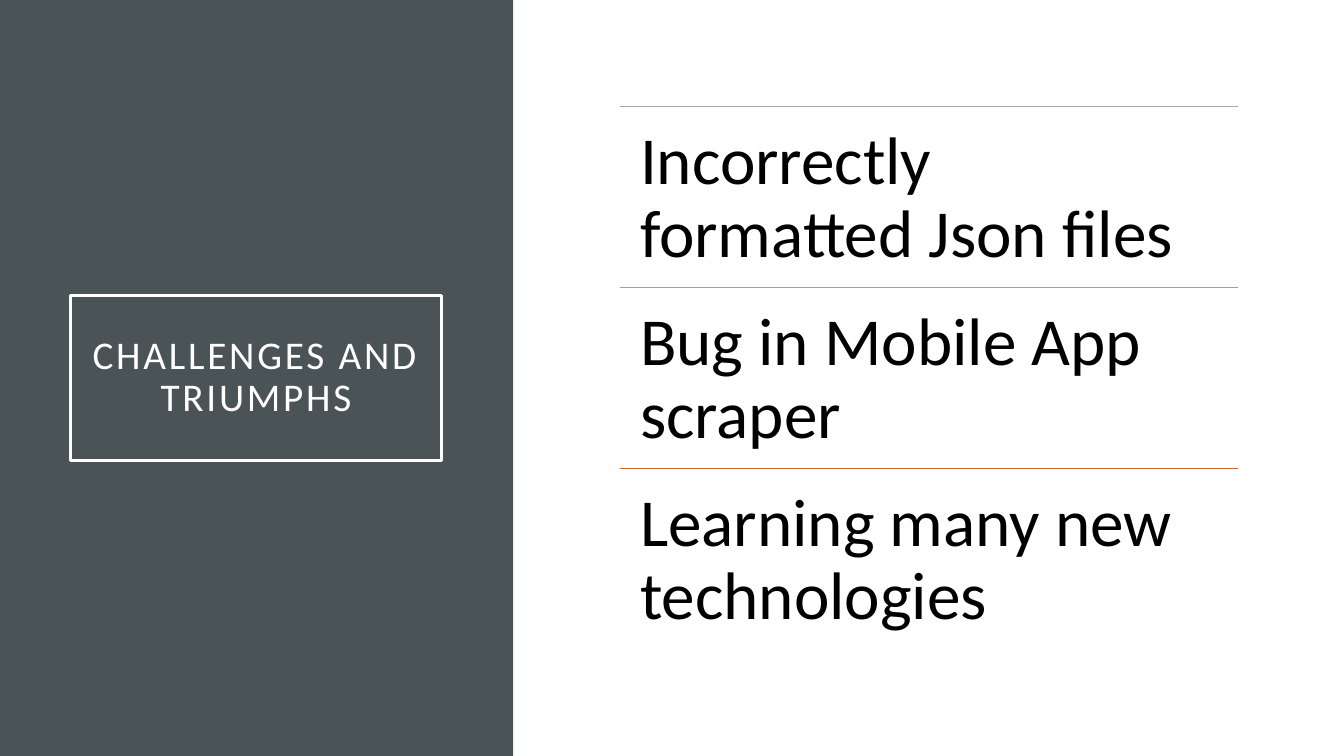
from dataclasses import dataclass

from lxml import etree
from pptx import Presentation
from pptx.dml.color import RGBColor
from pptx.enum.shapes import MSO_CONNECTOR, MSO_SHAPE
from pptx.enum.text import MSO_ANCHOR, PP_ALIGN
from pptx.oxml.ns import qn
from pptx.shapes.base import BaseShape
from pptx.slide import Slide
from pptx.util import Pt

RECTANGLE = MSO_SHAPE.RECTANGLE
STRAIGHT = MSO_CONNECTOR.STRAIGHT
TOP, MIDDLE = MSO_ANCHOR.TOP, MSO_ANCHOR.MIDDLE
LEFT, CENTER = PP_ALIGN.LEFT, PP_ALIGN.CENTER


@dataclass(frozen=True)
class Theme:
    font: str = "Calibri"
    title_size: float = 28
    item_size: float = 48
    line_spacing: float = 0.9
    inset: float = 14.4
    panel: str = "4A5356"
    light: str = "FFFFFF"
    dark: str = "000000"


@dataclass(frozen=True)
class Area:
    left: float
    top: float
    width: float
    height: float


@dataclass(frozen=True)
class Item:
    text: str
    rule_color: str


THEME = Theme()
PAGE_WIDTH, PAGE_HEIGHT = 960, 540
PANEL = Area(0, 0, 366.5, PAGE_HEIGHT)
TITLE = Area(50.4, 211, 265, 118)
FIRST_ITEM = Area(442.8, 76.2, 441.4, 129.2)
ITEMS = [
    Item("Incorrectly formatted Json files", "9BAFB5"),
    Item("Bug in Mobile App scraper", "7ABC69"),
    Item("Learning many new technologies", "C96731"),
]


def rgb(color: str) -> RGBColor:
    return RGBColor.from_string(color)


def add_rectangle(page: Slide, area: Area) -> BaseShape:
    box = page.shapes.add_shape(
        RECTANGLE, Pt(area.left), Pt(area.top), Pt(area.width), Pt(area.height)
    )
    box.shadow.inherit = False
    return box


def write_text(box: BaseShape, text: str, size: float, color: str,
               align: PP_ALIGN, anchor: MSO_ANCHOR, tracking: float = 0) -> None:
    """Fill a box with one paragraph; tracking is letter spacing in points."""
    frame = box.text_frame
    frame.text = text
    frame.word_wrap = True
    frame.vertical_anchor = anchor
    frame.margin_left = frame.margin_right = Pt(THEME.inset)
    frame.margin_top = frame.margin_bottom = Pt(THEME.inset)
    para = frame.paragraphs[0]
    para.alignment = align
    para.line_spacing = THEME.line_spacing
    span = para.runs[0]
    span.font.name = THEME.font
    span.font.size = Pt(size)
    span.font.color.rgb = rgb(color)
    if tracking:
        span.font._element.set("spc", str(round(tracking * 100)))


def add_panel(page: Slide) -> None:
    panel = add_rectangle(page, PANEL)
    panel.fill.solid()
    panel.fill.fore_color.rgb = rgb(THEME.panel)
    panel.line.fill.background()


def add_title(page: Slide) -> None:
    title = add_rectangle(page, TITLE)
    title.fill.background()
    title.line.color.rgb = rgb(THEME.light)
    title.line.width = Pt(2.5)
    write_text(title, "CHALLENGES AND TRIUMPHS", THEME.title_size,
               THEME.light, CENTER, MIDDLE, tracking=2)


def add_item(page: Slide, item: Item, area: Area) -> None:
    """Draw a coloured rule with its text below."""
    top = Pt(area.top)
    rule = page.shapes.add_connector(
        STRAIGHT, Pt(area.left), top, Pt(area.left + area.width), top
    )
    rule.line.color.rgb = rgb(item.rule_color)
    rule.line.width = Pt(1)
    etree.SubElement(rule._element.spPr, qn("a:effectLst"))
    box = page.shapes.add_textbox(
        Pt(area.left), top, Pt(area.width), Pt(area.height)
    )
    write_text(box, item.text, THEME.item_size, THEME.dark, LEFT, TOP)


def main() -> None:
    deck = Presentation()
    deck.slide_width, deck.slide_height = Pt(PAGE_WIDTH), Pt(PAGE_HEIGHT)
    page = deck.slides.add_slide(deck.slide_layouts[6])
    add_panel(page)
    add_title(page)
    for row, item in enumerate(ITEMS):
        top = FIRST_ITEM.top + row * FIRST_ITEM.height
        area = Area(FIRST_ITEM.left, top, FIRST_ITEM.width, FIRST_ITEM.height)
        add_item(page, item, area)
    deck.save("out.pptx")


if __name__ == "__main__":
    main()
